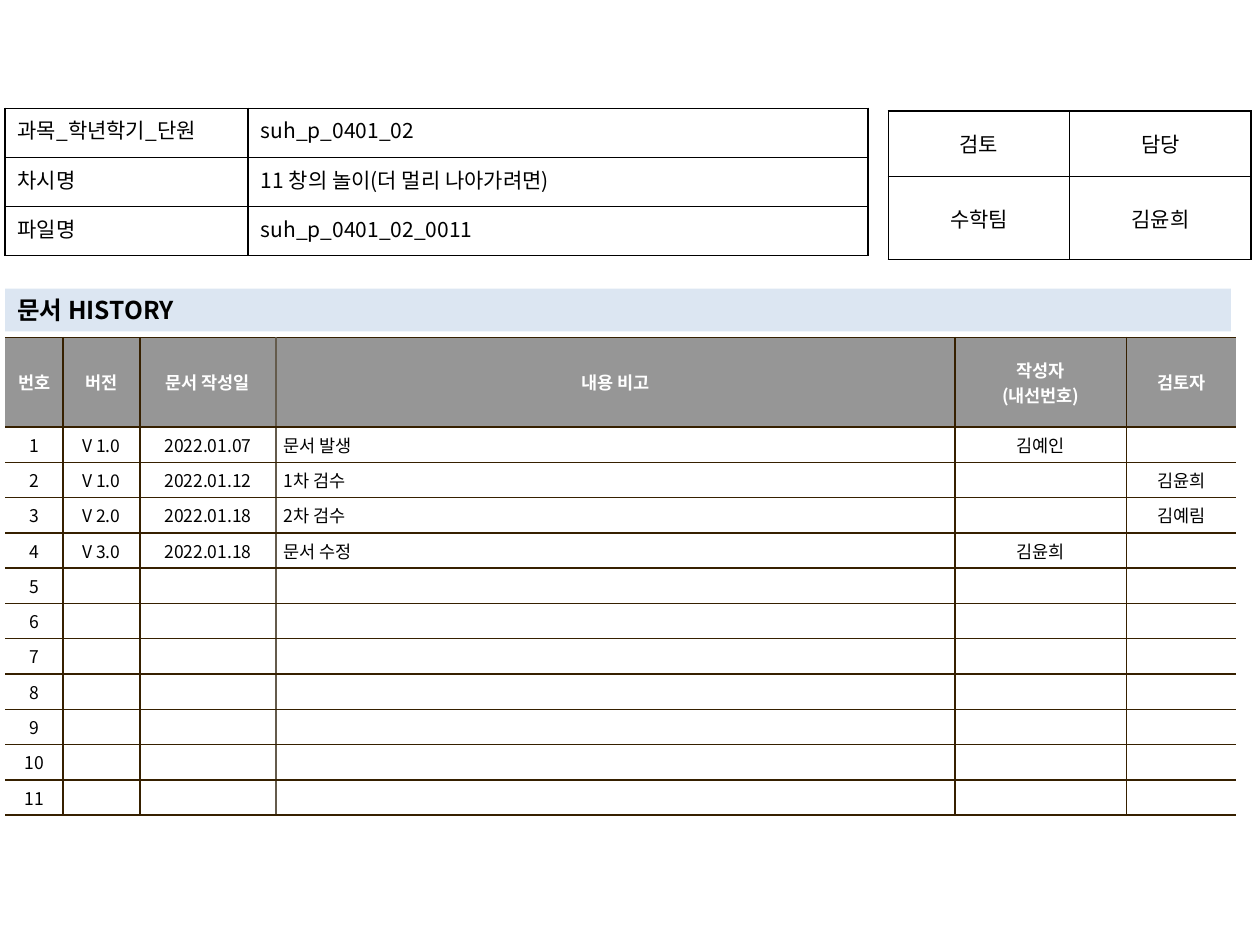
import pptx
import pptx.util
import pptx.dml.color
import pptx.enum.shapes
import pptx.enum.text
import pptx.oxml
import pptx.oxml.ns

Inches = pptx.util.Inches
RGB = pptx.dml.color.RGBColor
ALIGN = pptx.enum.text.PP_ALIGN
ANCHOR = pptx.enum.text.MSO_ANCHOR

BLACK = RGB(0x00, 0x00, 0x00)
WHITE = RGB(0xFF, 0xFF, 0xFF)
GRAY = RGB(0x96, 0x96, 0x96)
BLUE = RGB(0xDC, 0xE6, 0xF2)
BROWN = RGB(0x36, 0x20, 0x00)
TAUPE = RGB(0x64, 0x5B, 0x4C)
FONT = "Noto Sans CJK KR"

HEADS = ["번호", "버전", "문서 작성일", "내용 비고", "작성자\n(내선번호)", "검토자"]
LOG = [
    ["V 1.0", "2022.01.07", "문서 발생", "김예인", ""],
    ["V 1.0", "2022.01.12", "1차 검수", "", "김윤희"],
    ["V 2.0", "2022.01.18", "2차 검수", "", "김예림"],
    ["V 3.0", "2022.01.18", "문서 수정", "김윤희", ""],
]
LINES = 11
NOTE = 3


def write(frame, text, size=12, color=BLACK, bold=False, align=ALIGN.LEFT):
    for i, line in enumerate(text.split("\n")):
        para = frame.paragraphs[0] if i == 0 else frame.add_paragraph()
        para.alignment = align
        if not line:
            # An empty line keeps its size only in its end mark.
            end = pptx.oxml.ns.qn("a:endParaRPr")
            para._p.makeelement(end)
            mark = pptx.oxml.parse_xml(
                f'<a:endParaRPr {pptx.oxml.ns.nsdecls("a")} sz="{size * 100}"/>')
            para._p.append(mark)
            continue
        run = para.add_run()
        run.text = line
        font = run.font
        font.size = pptx.util.Pt(size)
        font.bold = bold
        font.color.rgb = color
        font.name = FONT
        run._r.get_or_add_rPr().append(pptx.oxml.parse_xml(
            f'<a:ea {pptx.oxml.ns.nsdecls("a")} typeface="{FONT}"/>'))


def edge(cell, **sides):
    """Draw 1 pt borders; each of L, R, T and B takes a colour or None."""
    props = cell._tc.get_or_add_tcPr()
    for i, side in enumerate("LRTB"):
        color = sides[side]
        ink = (f'<a:solidFill><a:srgbClr val="{color}"/></a:solidFill>'
               if color is not None else "<a:noFill/>")
        props.insert(i, pptx.oxml.parse_xml(
            f'<a:ln{side} {pptx.oxml.ns.nsdecls("a")} w="12700">{ink}</a:ln{side}>'))


def grid(slide, left, top, cols, rows):
    """Add a table without style bands and return it."""
    frame = slide.shapes.add_table(
        len(rows), len(cols), Inches(left), Inches(top),
        Inches(sum(cols)), Inches(sum(rows)))
    table = frame.table
    table.first_row = table.horz_banding = False
    for col, width in zip(table.columns, cols):
        col.width = Inches(width)
    for row, height in zip(table.rows, rows):
        row.height = Inches(height)
    return table


def boxes(slide, left, top, cols, rows, texts, aligns, anchor):
    """Add a black-ruled table of plain labels."""
    table = grid(slide, left, top, cols, rows)
    for r, line in enumerate(texts):
        for c, text in enumerate(line):
            cell = table.cell(r, c)
            cell.fill.background()
            cell.vertical_anchor = anchor
            write(cell.text_frame, text, align=aligns[c])
            edge(cell, L=BLACK, R=BLACK, T=BLACK, B=BLACK)


def title(slide, left, top, width, height):
    bar = slide.shapes.add_shape(
        pptx.enum.shapes.MSO_SHAPE.RECTANGLE,
        Inches(left), Inches(top), Inches(width), Inches(height))
    bar.shadow.inherit = False
    bar.fill.solid()
    bar.fill.fore_color.rgb = BLUE
    bar.line.fill.background()
    frame = bar.text_frame
    frame.word_wrap = True
    frame.vertical_anchor = ANCHOR.TOP
    write(frame, "문서 HISTORY", size=14, bold=True)


def history(slide, left, top):
    cols = [0.46, 0.61, 1.08, 5.39, 1.36, 0.87]
    table = grid(slide, left, top, cols, [0.71] + [0.25] * LINES)
    blank = [[""] * (len(cols) - 1)] * (LINES - len(LOG))
    body = [[str(i), *line] for i, line in enumerate(LOG + blank, 1)]
    rules = [None, BROWN, BROWN, TAUPE, BROWN, BROWN, None]
    for r, line in enumerate([HEADS] + body):
        head = r == 0
        for c, text in enumerate(line):
            cell = table.cell(r, c)
            cell.fill.solid()
            cell.fill.fore_color.rgb = GRAY if head else WHITE
            cell.vertical_anchor = ANCHOR.MIDDLE
            cell.margin_left = cell.margin_right = Inches(0.06)
            cell.margin_top = cell.margin_bottom = Inches(0.04)
            write(cell.text_frame, text, size=10, bold=head,
                  color=WHITE if head else BLACK,
                  align=ALIGN.LEFT if c == NOTE and not head else ALIGN.CENTER)
            edge(cell, L=rules[c], R=rules[c + 1], T=BROWN, B=BROWN)


def main():
    deck = pptx.Presentation()
    deck.slide_width, deck.slide_height = Inches(10), Inches(7.5)
    slide = deck.slides.add_slide(deck.slide_layouts[6])
    history(slide, 0.04, 2.68)
    boxes(slide, 7.05, 0.88, [1.44, 1.44], [0.52, 0.66],
          [["검토", "담당"], ["수학팀", "김윤희"]],
          [ALIGN.CENTER, ALIGN.CENTER], ANCHOR.MIDDLE)
    title(slide, 0.04, 2.29, 9.73, 0.34)
    boxes(slide, 0.04, 0.86, [1.93, 4.92], [0.39] * 3,
          [["과목_학년학기_단원", "suh_p_0401_02"],
           ["차시명", "11 창의 놀이(더 멀리 나아가려면)"],
           ["파일명", "suh_p_0401_02_0011"]],
          [ALIGN.JUSTIFY, ALIGN.LEFT], ANCHOR.TOP)
    deck.save("out.pptx")


if __name__ == "__main__":
    main()
